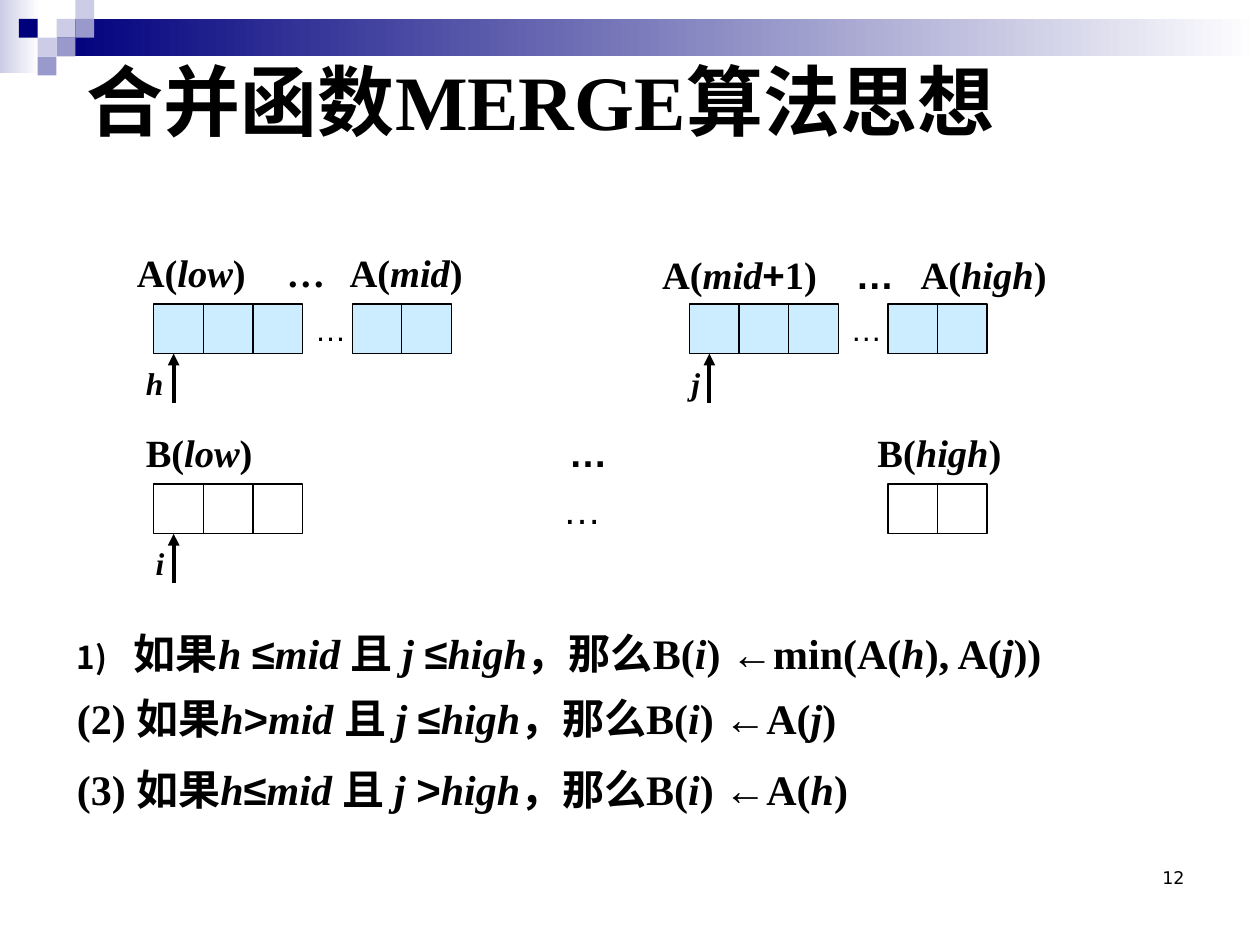
from dataclasses import dataclass

from lxml.etree import SubElement
from pptx import Presentation
from pptx.dml.color import RGBColor
from pptx.enum.shapes import MSO_CONNECTOR as Connector, MSO_SHAPE as Shape
from pptx.enum.text import MSO_ANCHOR as Anchor, PP_ALIGN as Align
from pptx.oxml.ns import qn
from pptx.util import Cm, Pt


@dataclass(frozen=True)
class Theme:
    ink: str = "000000"
    cell: str = "CCECFF"
    navy: str = "00007D"
    violet: str = "9999CC"
    lilac: str = "CCCCE6"
    white: str = "FFFFFF"
    serif: str = "Times New Roman"
    sans: str = "Arial"
    number_font: str = "DejaVu Sans"
    title: int = 44
    rule: int = 24
    label: int = 22
    small: int = 18
    number: int = 10


@dataclass(frozen=True)
class Span:
    text: str
    italic: bool = False
    font: str = Theme.serif
    bold: bool = True


THEME = Theme()
CELL = 1.0
TILE = 0.38


def italic(text):
    return Span(text, italic=True)


def sign(text):
    return Span(text, font=THEME.sans)


def color(value):
    return RGBColor.from_string(value)


def add_box(page, left, top, width, height, fill=None, line=None):
    box = page.shapes.add_shape(
        Shape.RECTANGLE, Cm(left), Cm(top), Cm(width), Cm(height))
    box.shadow.inherit = False
    if fill:
        box.fill.solid()
        box.fill.fore_color.rgb = color(fill)
    else:
        box.fill.background()
    if line:
        box.line.color.rgb = color(line)
        box.line.width = Pt(0.75)
    else:
        box.line.fill.background()
    return box


def add_fade(page, left, top, width, height, start):
    box = add_box(page, left, top, width, height, start)
    box.fill.gradient()
    box.fill.gradient_angle = 0
    for stop, value in zip(box.fill.gradient_stops, (start, THEME.white)):
        stop.color.rgb = color(value)


def add_text(page, left, top, width, height, spans, size,
             wrap=True, anchor=Anchor.TOP, align=Align.LEFT, tabs=()):
    box = page.shapes.add_textbox(Cm(left), Cm(top), Cm(width), Cm(height))
    frame = box.text_frame
    frame.word_wrap = wrap
    frame.vertical_anchor = anchor
    para = frame.paragraphs[0]
    para.alignment = align
    if tabs:
        stops = SubElement(para._p.get_or_add_pPr(), qn("a:tabLst"))
        for position in tabs:
            SubElement(stops, qn("a:tab"), pos=str(Cm(position)), algn="l")
    for span in spans:
        run = para.add_run()
        run.text = span.text
        run.font.name = span.font
        run.font.size = Pt(size)
        run.font.bold = span.bold
        run.font.italic = span.italic
        run.font.color.rgb = color(THEME.ink)
    return para


def add_cells(page, left, top, count, fill=None):
    for index in range(count):
        add_box(page, left + index * CELL, top, CELL, CELL, fill, THEME.ink)


def add_dots(page, left, top, width, size):
    add_text(page, left, top, width, CELL,
             [Span("…", font=THEME.sans, bold=False)], size,
             wrap=False, anchor=Anchor.MIDDLE)


def add_pointer(page, name, x, tip, offset):
    arrow = page.shapes.add_connector(
        Connector.STRAIGHT, Cm(x), Cm(tip + CELL), Cm(x), Cm(tip))
    arrow.line.color.rgb = color(THEME.ink)
    arrow.line.width = Pt(2.25)
    SubElement(arrow.line._get_or_add_ln(), qn("a:tailEnd"), type="triangle")
    SubElement(arrow._element.spPr, qn("a:effectLst"))
    add_text(page, x - offset, tip + 0.08, 0.81, 1.02,
             [italic(name)], THEME.small)


def add_header(page):
    add_fade(page, 0, 0, 0.79, 1.47, THEME.lilac)
    add_fade(page, 3 * TILE, TILE, 24.26, 2 * TILE, THEME.navy)
    tiles = {
        THEME.lilac: [(3, 1), (4, 0), (2, 2)],
        THEME.violet: [(4, 1), (3, 2), (2, 3)],
        THEME.navy: [(1, 1)],
    }
    for fill, places in tiles.items():
        for column, row in places:
            add_box(page, column * TILE, row * TILE, TILE, TILE, fill)


def add_arrays(page):
    source, target = 6.13, 9.76
    for left in (3.1, 13.9):
        add_cells(page, left, source, 3, THEME.cell)
        add_dots(page, left + 3 * CELL, source, CELL, THEME.small)
        add_cells(page, left + 4 * CELL, source, 2, THEME.cell)
    add_cells(page, 3.1, target, 3)
    add_dots(page, 11.1, target, 1.2, THEME.label)
    add_cells(page, 17.9, target, 2)

    labels = [
        (2.51, 4.9, 8.4, (3.02, 4.29),
         [Span("A("), italic("low"), Span(")\t…\tA("), italic("mid"), Span(")")]),
        (13.1, 4.93, 8.8, (3.9, 5.21),
         [Span("A("), italic("mid"), sign("+"), Span("1)\t"), sign("…"),
          Span("\tA("), italic("high"), Span(")")]),
        (2.69, 8.53, 18, (8.53, 14.75),
         [Span("B("), italic("low"), Span(")\t"), sign("…"),
          Span("\tB("), italic("high"), Span(")")]),
    ]
    for left, top, width, tabs, spans in labels:
        add_text(page, left, top, width, 1.19, spans, THEME.label, tabs=tabs)

    add_pointer(page, "j", 14.3, source + CELL, 0.61)
    add_pointer(page, "h", 3.5, source + CELL, 0.81)
    add_pointer(page, "i", 3.5, target + CELL, 0.61)


def add_rule(page, top, start, left_name, left_sign, right_sign, result):
    spans = [
        Span(start), italic(left_name), sign(left_sign), italic("mid "),
        Span("且 "), italic("j "), sign(right_sign), italic("high"),
        Span("，那么B("), italic("i"), Span(") "), sign("←"), *result,
    ]
    para = add_text(page, 1.3, top, 22.8, 1.27, spans, THEME.rule)
    layout = para._p.get_or_add_pPr()
    layout.set("marL", str(Cm(0.96)))
    layout.set("indent", str(Cm(-0.96)))
    return layout


def add_number_bullet(layout):
    tint = SubElement(layout, qn("a:buClr"))
    SubElement(tint, qn("a:srgbClr"), val=THEME.ink)
    SubElement(layout, qn("a:buSzPct"), val="75000")
    SubElement(layout, qn("a:buAutoNum"), type="arabicParenR")


def add_rules(page):
    minimum = [Span("min(A("), italic("h"), Span("), A("), italic("j"), Span("))")]
    from_j = [Span("A("), italic("j"), Span(")")]
    from_h = [Span("A("), italic("h"), Span(")")]
    first = add_rule(page, 12.52, " 如果", "h ", "≤", "≤", minimum)
    add_number_bullet(first)
    add_rule(page, 13.84, "(2) 如果", "h", ">", "≤", from_j)
    add_rule(page, 15.27, "(3) 如果", "h", "≤", ">", from_h)


def main():
    deck = Presentation()
    deck.slide_width, deck.slide_height = Cm(25.4), Cm(19.05)
    page = deck.slides.add_slide(deck.slide_layouts[6])
    add_header(page)
    add_text(page, 18.2, 17.35, 5.93, 1.27,
             [Span("12", font=THEME.number_font, bold=False)],
             THEME.number, align=Align.RIGHT)
    add_text(page, 1.5, 0.91, 22.86, 2.16, [Span("合并函数MERGE算法思想")],
             THEME.title, anchor=Anchor.BOTTOM)
    add_arrays(page)
    add_rules(page)
    deck.save("out.pptx")


if __name__ == "__main__":
    main()
